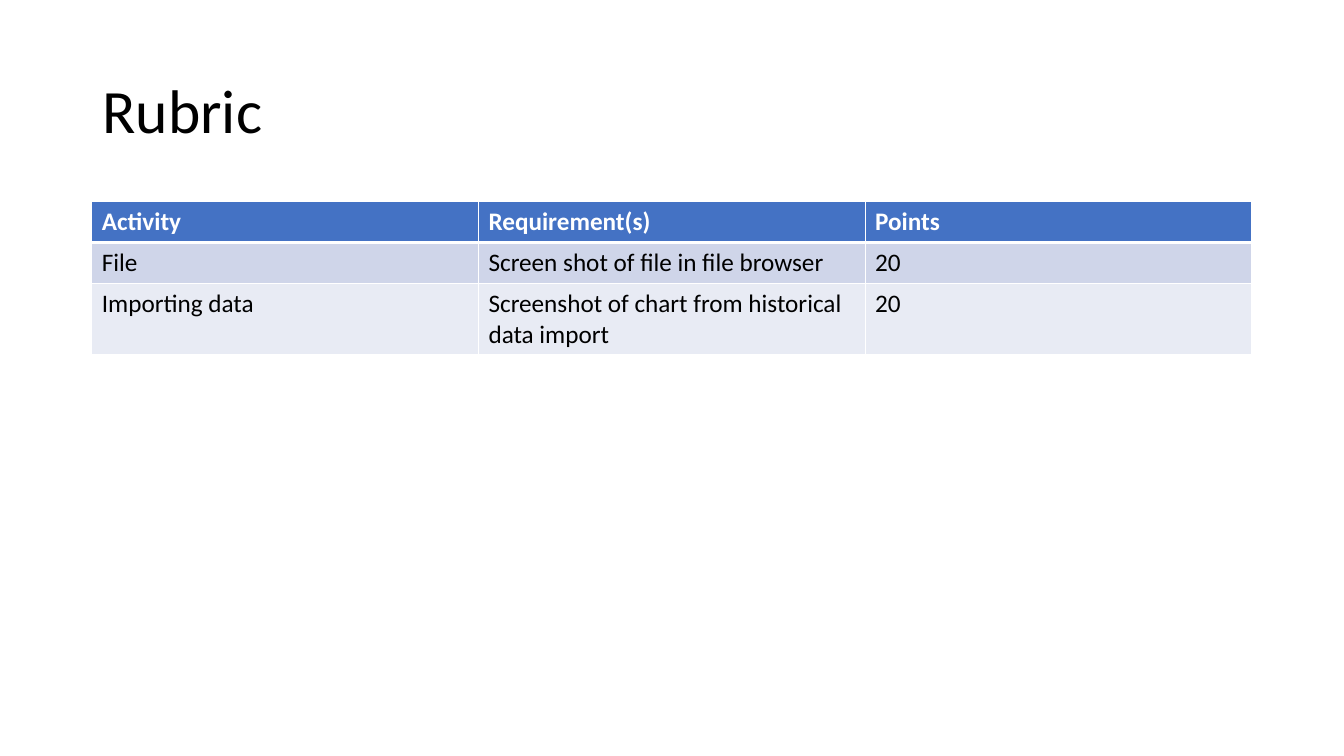
from lxml.etree import SubElement
from pptx import Presentation
from pptx.dml.color import RGBColor as RGB
from pptx.enum.text import MSO_ANCHOR as ANCHOR, PP_ALIGN as ALIGN
from pptx.oxml.ns import qn
from pptx.util import Pt

COLORS = {
    "black": "000000",
    "white": "FFFFFF",
    "header": "4472C4",
    "band_dark": "CFD5E9",
    "band_light": "E8EBF4",
}
FONT = "Calibri"
RUBRIC = [
    ("Activity", "Requirement(s)", "Points"),
    ("File", "Screen shot of file in file browser", "20"),
    ("Importing data", "Screenshot of chart from historical data import", "20"),
]
ROW_FILLS = ["header", "band_dark", "band_light"]


def rgb(name):
    return RGB.from_string(COLORS[name])


def write_text(tf, text, size=18, color="black", bold=False, spacing=1.0):
    p = tf.paragraphs[0]
    p.alignment = ALIGN.LEFT
    p.line_spacing = spacing
    r = p.add_run()
    r.text = text
    r.font.name = FONT
    r.font.size = Pt(size)
    r.font.bold = bold
    r.font.color.rgb = rgb(color)


def add_border(cell, side, width, color="white"):
    ln = SubElement(cell._tc.get_or_add_tcPr(), qn(f"a:{side}"), w=str(Pt(width)))
    fill = SubElement(ln, qn("a:solidFill"))
    SubElement(fill, qn("a:srgbClr"), val=COLORS[color])


def add_title(slide, text):
    sp = slide.shapes.title
    sp.left, sp.top, sp.width, sp.height = Pt(66), Pt(28.75), Pt(828), Pt(104.4)
    sp.text_frame.vertical_anchor = ANCHOR.MIDDLE
    write_text(sp.text_frame, text, size=44, spacing=0.9)


def add_rubric(slide, rows):
    table = slide.shapes.add_table(
        len(rows), len(rows[0]), Pt(65.6), Pt(144), Pt(828.6), Pt(87.6)
    ).table
    for i, row in enumerate(rows):
        for j, text in enumerate(row):
            cell = table.cell(i, j)
            for side in ("lnL", "lnR", "lnT", "lnB"):
                under_header = (i, side) in ((0, "lnB"), (1, "lnT"))
                add_border(cell, side, 3 if under_header else 0.96)
            cell.fill.solid()
            cell.fill.fore_color.rgb = rgb(ROW_FILLS[i])
            write_text(cell.text_frame, text, bold=i == 0,
                       color="black" if i else "white")


def main():
    prs = Presentation()
    prs.slide_width, prs.slide_height = Pt(960), Pt(540)
    s = prs.slides.add_slide(prs.slide_layouts[5])
    add_title(s, "Rubric")
    add_rubric(s, RUBRIC)
    prs.save("out.pptx")


if __name__ == "__main__":
    main()
